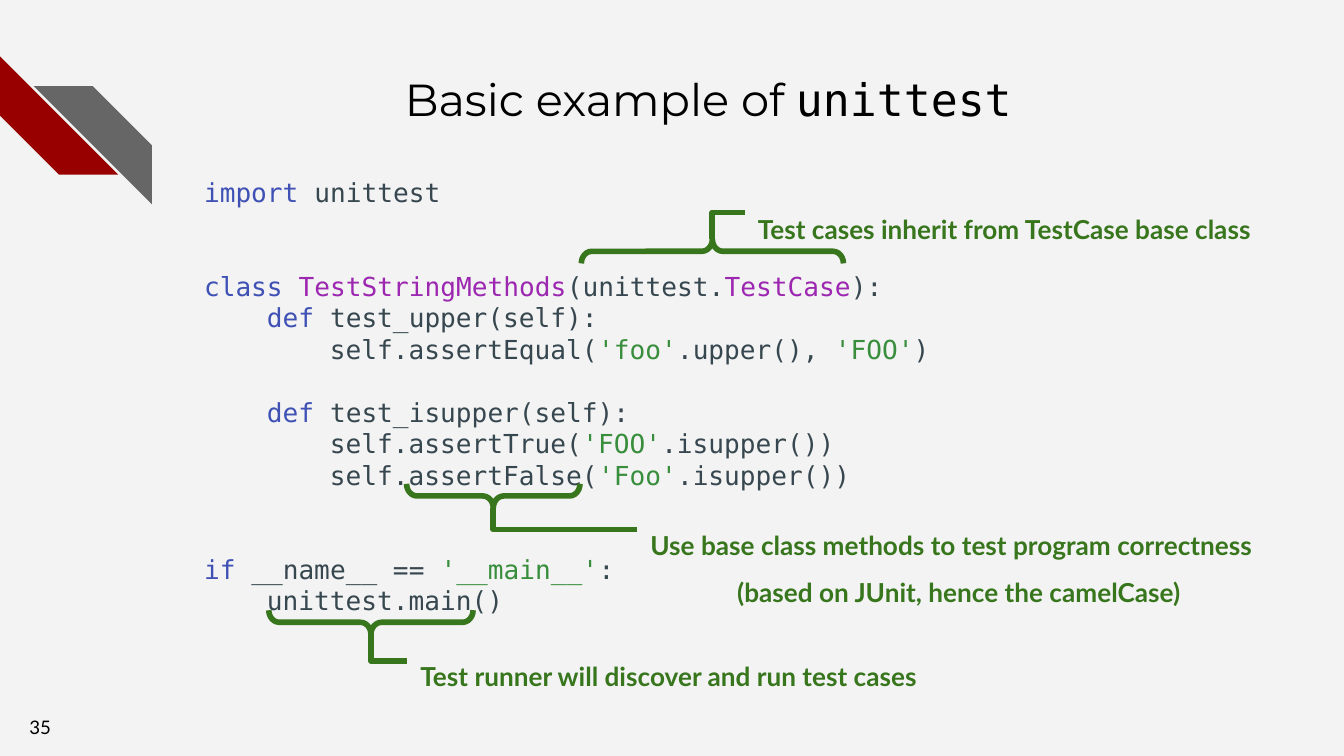
import pptx
import pptx.dml.color
import pptx.enum.shapes
import pptx.enum.text
import pptx.oxml.ns
import pptx.util
from lxml import etree

WIDTH = 10
HEIGHT = WIDTH * 9 / 16
COLORS = {
    "background": "F3F3F3", "black": "000000", "red": "980000", "grey": "666666",
    "note": "38761D", "keyword": "3F51B5", "plain": "37474F",
    "class": "9C27B0", "string": "388E3C",
}
MONO, SANS, HEADING = "DejaVu Sans Mono", "Lato", "Montserrat"
CODE_SIZE, CODE_LINE = 14, 16.84
INDENT = 4 * 0.602 * CODE_SIZE  # four monospaced characters, in points
BRACE_DEPTH = 0.18

TITLE = [("Basic example of ", HEADING), ("unittest", MONO)]

# (blank lines above, indent level, [(text, colour)])
CODE = [
    (0, 0, [("import", "keyword"), (" unittest", "plain")]),
    (2, 0, [("class ", "keyword"), ("TestStringMethods", "class"),
            ("(unittest.", "plain"), ("TestCase", "class"), ("):", "plain")]),
    (0, 1, [("def", "keyword"), (" test_upper(self):", "plain")]),
    (0, 2, [("self.assertEqual(", "plain"), ("'foo'", "string"),
            (".upper(), ", "plain"), ("'FOO'", "string"), (")", "plain")]),
    (1, 1, [("def", "keyword"), (" test_isupper(self):", "plain")]),
    (0, 2, [("self.assertTrue(", "plain"), ("'FOO'", "string"), (".isupper())", "plain")]),
    (0, 2, [("self.assertFalse(", "plain"), ("'Foo'", "string"), (".isupper())", "plain")]),
    (2, 0, [("if", "keyword"), (" __name__ == ", "plain"),
            ("'__main__'", "string"), (":", "plain")]),
    (0, 1, [("unittest.main()", "plain")]),
]

# Each note: text lines, box, brace centre and span, brace rotation, elbow height
NOTES = [
    {"lines": ["Use base class methods to test program correctness",
               "(based on JUnit, hence the camelCase)"],
     "box": (4.74, 3.72, 4.79, 0.43), "brace": (3.67, 3.69, 1.29), "turn": 270, "rise": 0.16},
    {"lines": ["Test cases inherit from TestCase base class"],
     "box": (5.54, 1.37, 3.94, 0.43), "brace": (5.3, 1.87, 1.95), "turn": 90, "rise": -0.2},
    {"lines": ["Test runner will discover and run test cases"],
     "box": (3.03, 4.7, 4.52, 0.43), "brace": (2.76, 4.63, 1.52), "turn": 270, "rise": 0.2},
]

# (left, top, rotation, mirrored, colour)
STRIPES = [(0, 0.42, 270, False, "red"), (0.25, 0.64, 0, True, "grey")]
STRIPE_SIZE = 0.88

SHAPE = pptx.enum.shapes.MSO_SHAPE
ALIGN = pptx.enum.text.PP_ALIGN
ANCHOR = pptx.enum.text.MSO_ANCHOR


def inches(*values):
    return [pptx.util.Inches(value) for value in values]


def rgb(name):
    return pptx.dml.color.RGBColor.from_string(COLORS[name])


def add_box(page, bounds, anchor=ANCHOR.TOP):
    frame = page.shapes.add_textbox(*inches(*bounds)).text_frame
    frame.word_wrap = True
    frame.vertical_anchor = anchor
    frame.margin_left, frame.margin_top, frame.margin_right, frame.margin_bottom = inches(*[0.1] * 4)
    return frame


def add_para(frame, first, align=ALIGN.LEFT, spacing=1.0):
    para = frame.paragraphs[0] if first else frame.add_paragraph()
    para.alignment = align
    para.line_spacing = spacing
    return para


def add_span(para, text, font=SANS, size=14, color="black", bold=False):
    span = para.add_run()
    span.text = text
    span.font.name, span.font.size, span.font.bold = font, pptx.util.Pt(size), bold
    span.font.color.rgb = rgb(color)


def draw_line(item):
    item.line.color.rgb = rgb("note")
    item.line.width = pptx.util.Pt(3)


def add_stripe(page, left, top, rotation, mirrored, color):
    stripe = page.shapes.add_shape(
        SHAPE.DIAGONAL_STRIPE, *inches(left, top, STRIPE_SIZE, STRIPE_SIZE))
    stripe.shadow.inherit = False
    stripe.rotation = rotation
    stripe.fill.solid()
    stripe.fill.fore_color.rgb = rgb(color)
    stripe.line.fill.background()
    if mirrored:
        stripe._element.spPr.find(pptx.oxml.ns.qn("a:xfrm")).set("flipH", "1")


def add_brace(page, center_x, center_y, span, turn):
    brace = page.shapes.add_shape(SHAPE.LEFT_BRACE, *inches(
        center_x - BRACE_DEPTH / 2, center_y - span / 2, BRACE_DEPTH, span))
    brace.shadow.inherit = False
    brace.rotation = turn
    brace.adjustments[0] = 0.43
    brace.fill.background()
    draw_line(brace)


def add_elbow(page, start_x, start_y, run, rise):
    """Go vertically by rise, then right by run: a corner turned by 270 degrees."""
    middle_x, middle_y = start_x + run / 2, start_y + rise / 2
    elbow = page.shapes.add_connector(pptx.enum.shapes.MSO_CONNECTOR.ELBOW, *inches(
        middle_x + rise / 2, middle_y - run / 2, middle_x - rise / 2, middle_y + run / 2))
    draw_line(elbow)
    properties = elbow._element.spPr
    properties.find(pptx.oxml.ns.qn("a:xfrm")).set("rot", str(270 * 60000))
    properties.find(pptx.oxml.ns.qn("a:prstGeom")).set("prst", "bentConnector2")
    etree.SubElement(properties, pptx.oxml.ns.qn("a:effectLst"))


def add_code(page):
    frame = add_box(page, (1.42, 1.21, 7.7, 3.88))
    for row, (blanks, level, tokens) in enumerate(CODE):
        para = add_para(frame, row == 0, spacing=pptx.util.Pt(CODE_LINE))
        para.space_before = pptx.util.Pt(blanks * CODE_LINE)
        indent = para._p.get_or_add_pPr()
        indent.set("marL", str(pptx.util.Pt(level * INDENT)))
        indent.set("indent", "0")
        for text, color in tokens:
            add_span(para, text, font=MONO, size=CODE_SIZE, color=color)


def add_note(page, note):
    frame = add_box(page, note["box"])
    for row, text in enumerate(note["lines"]):
        para = add_para(frame, row == 0, ALIGN.CENTER if row else ALIGN.LEFT, 1.5)
        add_span(para, text, color="note", bold=True)
    center_x, center_y, span = note["brace"]
    add_brace(page, center_x, center_y, span, note["turn"])
    side = 1 if note["rise"] > 0 else -1
    add_elbow(page, center_x, center_y + side * BRACE_DEPTH / 2,
              note["box"][0] - center_x, note["rise"])


def main():
    deck = pptx.Presentation()
    deck.slide_width, deck.slide_height = inches(WIDTH, HEIGHT)
    page = deck.slides.add_slide(deck.slide_layouts[6])
    page.background.fill.solid()
    page.background.fill.fore_color.rgb = rgb("background")

    for stripe in STRIPES:
        add_stripe(page, *stripe)
    title = add_para(add_box(page, (1.42, 0.43, 7.7, 0.61)), True, ALIGN.CENTER)
    for text, font in TITLE:
        add_span(title, text, font=font, size=24)
    add_code(page)
    number = add_box(page, (0, HEIGHT - 0.43, 0.6, 0.43), ANCHOR.MIDDLE)
    add_span(add_para(number, True, ALIGN.CENTER), "35", size=10)
    for note in NOTES:
        add_note(page, note)
    deck.save("out.pptx")


if __name__ == "__main__":
    main()
